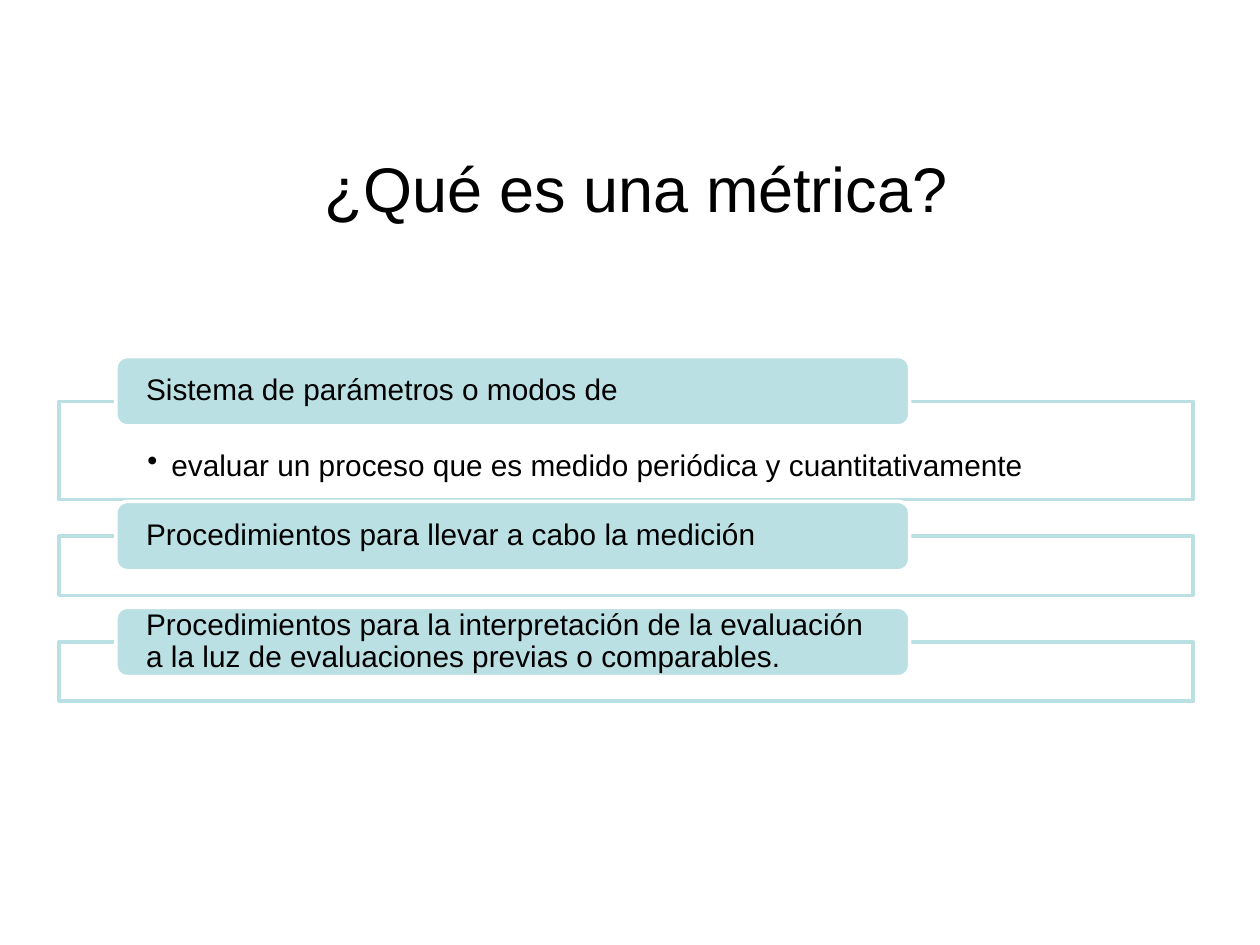
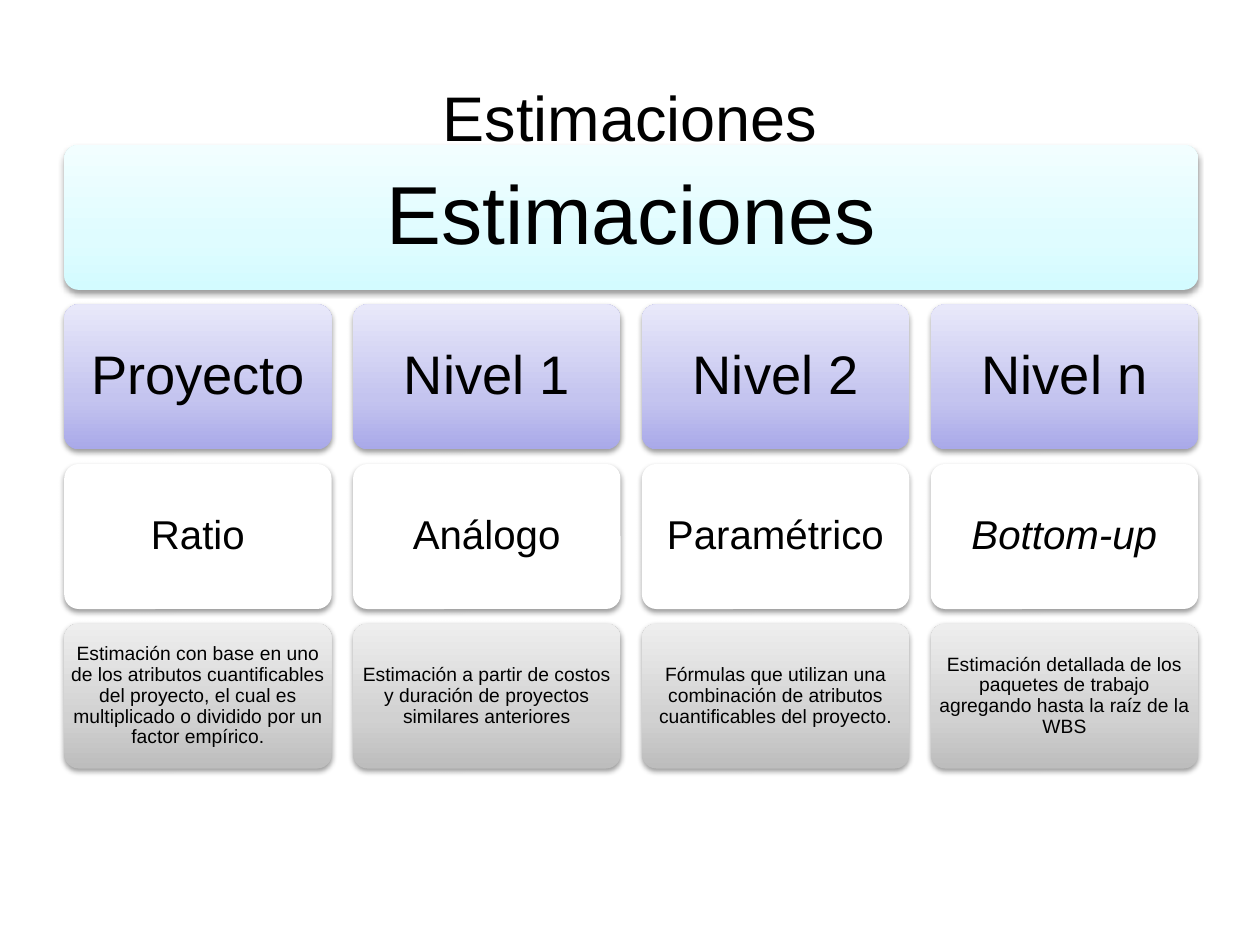
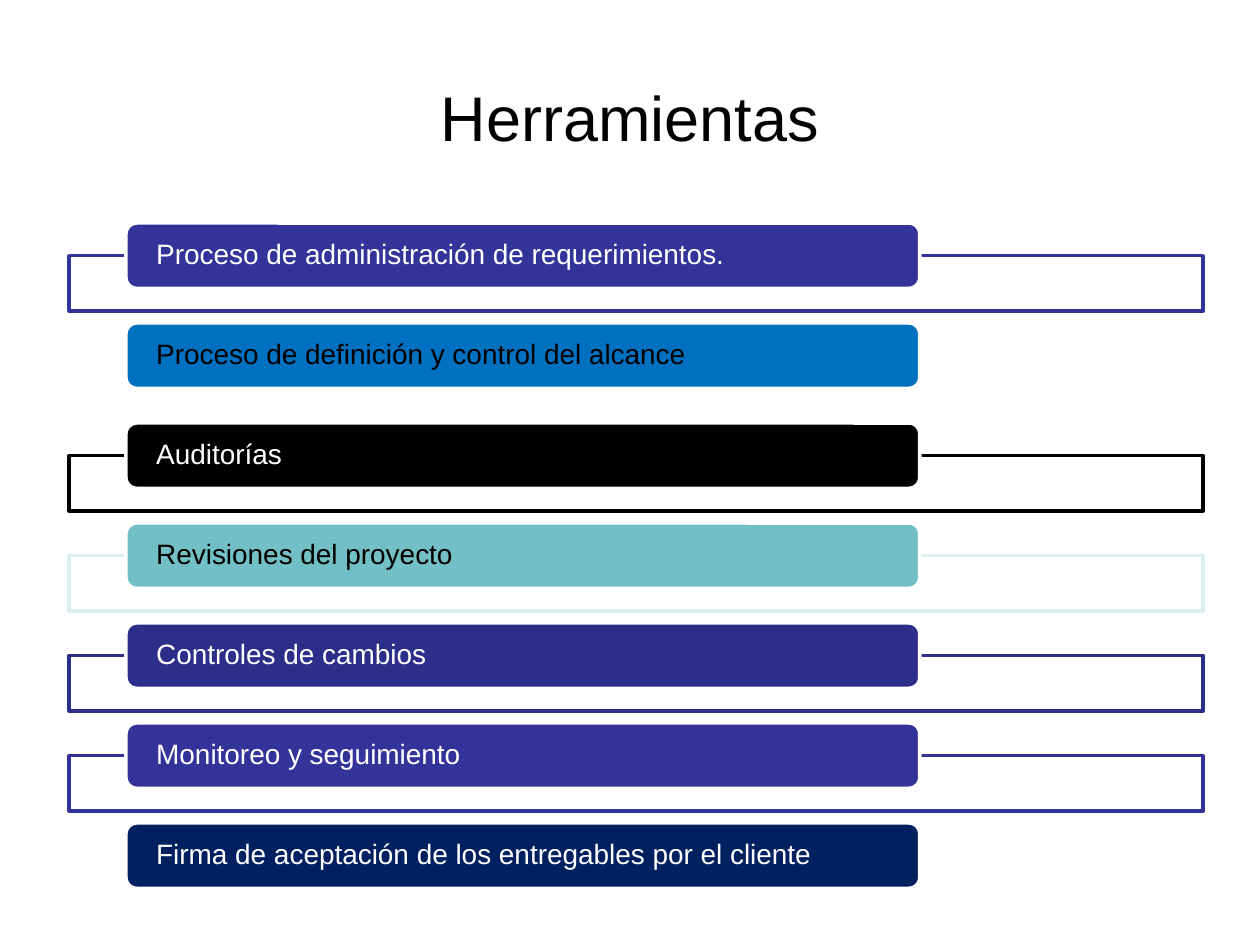
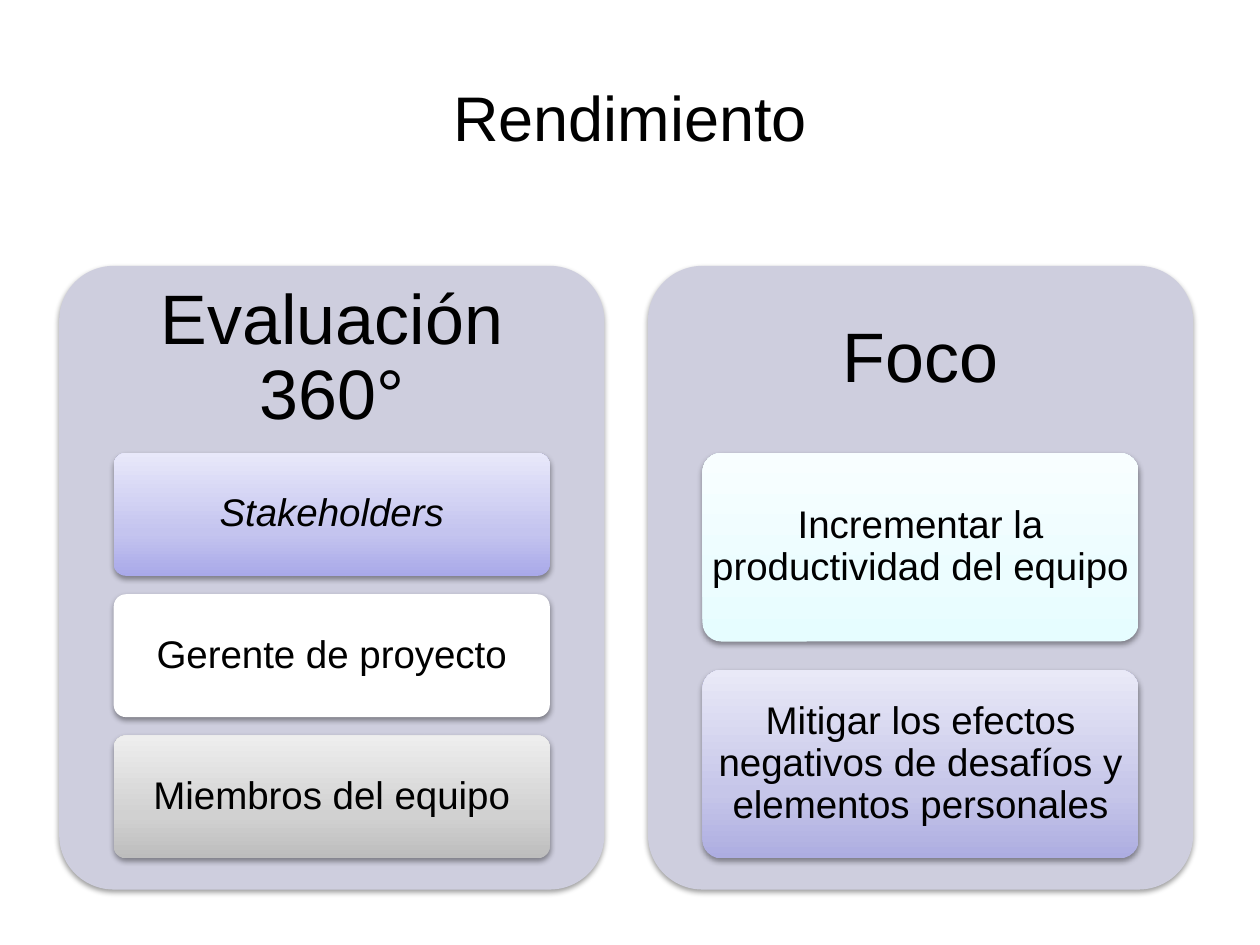
import copy
from dataclasses import dataclass

import pptx
import pptx.dml.color
import pptx.enum.shapes
import pptx.enum.text
import pptx.oxml.ns
import pptx.util
from lxml import etree

Inches = pptx.util.Inches
Pt = pptx.util.Pt
qn = pptx.oxml.ns.qn
Shapes = pptx.enum.shapes.MSO_SHAPE
Align = pptx.enum.text.PP_ALIGN
Anchor = pptx.enum.text.MSO_ANCHOR


@dataclass(frozen=True)
class Theme:
    font: str = "Arial"
    black: str = "000000"
    white: str = "FFFFFF"
    aqua: str = "BBE0E3"
    aqua_pale: str = "DAEDEF"
    aqua_deep: str = "72BFC5"
    indigo: str = "333399"
    indigo_deep: str = "2D2D8A"
    blue: str = "0070C0"
    navy: str = "002060"
    panel: str = "CECEDE"
    # Gradients run from the bottom edge to the top edge.
    cyan_gradient: tuple = ("D3FBFF", "DFFCFF", "F2FEFF")
    ice_gradient: tuple = ("E6FDFF", "ECFDFF", "F8FEFF")
    violet_gradient: tuple = ("A9A9E9", "C4C4EF", "E8E8FA")
    lilac_gradient: tuple = ("ADADE1", "C6C6E9", "E9E9F7")
    gray_gradient: tuple = ("BDBDBD", "D1D1D1", "EEEEEE")
    gradient_positions: tuple = (0, 0.35, 1)
    title_size: int = 36
    metric_size: int = 17
    tool_size: int = 16
    level_sizes: tuple = (47, 31, 23, 11)
    panel_size: int = 40
    card_size: int = 22
    line_spacing: float = 0.9


THEME = Theme()
SLIDE_WIDTH, SLIDE_HEIGHT = 10, 7.5
CONTENT_WIDTH = 0.9 * SLIDE_WIDTH
TAB_WIDTH = 0.7 * CONTENT_WIDTH
TAB_INDENT = 0.05 * CONTENT_WIDTH
CARD_CORNER = 0.1
TAB_CORNER = 0.1667
CORNER_TEXT_SHARE = 0.29  # part of a corner radius that a rounded box keeps free of text


@dataclass(frozen=True)
class Entry:
    """A tab with the outlined frame that hangs behind it."""
    text: str
    tab_color: str
    frame_color: str
    text_color: str = THEME.black
    detail: str = ""


def rgb(color):
    return pptx.dml.color.RGBColor.from_string(color)


def tracks(start, extent, count, gap_ratio):
    """Split an extent into equal tracks; return their starts and their size."""
    size = extent / (count + (count - 1) * gap_ratio)
    return [start + index * size * (1 + gap_ratio) for index in range(count)], size


def write_text(shape, text, size, color=THEME.black, align=Align.CENTER,
               anchor=Anchor.MIDDLE, insets=(0.1, 0.05, 0.1, 0.05),
               italic=False, spacing=THEME.line_spacing):
    frame = shape.text_frame
    frame.word_wrap = True
    frame.vertical_anchor = anchor
    (frame.margin_left, frame.margin_top,
     frame.margin_right, frame.margin_bottom) = [Inches(max(0, inset)) for inset in insets]
    paragraph = frame.paragraphs[0]
    paragraph.text = text
    paragraph.alignment = align
    paragraph.line_spacing = spacing
    font = paragraph.font
    font.name, font.size, font.italic = THEME.font, Pt(size), italic
    font.color.rgb = rgb(color)
    return paragraph


def add_title(slide, text, left=0.5, top=0.3):
    box = slide.shapes.add_textbox(Inches(left), Inches(top),
                                   Inches(CONTENT_WIDTH), Inches(SLIDE_HEIGHT / 6))
    write_text(box, text, THEME.title_size, spacing=1.0)


def add_box(slide, preset, left, top, width, height, fill, line=None, corner=None):
    shape = slide.shapes.add_shape(preset, Inches(left), Inches(top),
                                   Inches(width), Inches(height))
    if corner is not None:
        shape.adjustments[0] = corner
    if isinstance(fill, tuple):
        fill_gradient(shape, fill)
    else:
        shape.fill.solid()
        shape.fill.fore_color.rgb = rgb(fill)
    if line:
        shape.line.color.rgb = rgb(line)
        shape.line.width = Pt(2)
    else:
        shape.line.fill.background()
    shape.shadow.inherit = False
    return shape


def fill_gradient(shape, colors):
    shape.fill.gradient()
    shape.fill.gradient_angle = 90
    stop_list = shape._element.spPr.find(qn("a:gradFill")).find(qn("a:gsLst"))
    stop_list.append(copy.deepcopy(stop_list[0]))
    for stop, color, position in zip(shape.fill.gradient_stops, colors,
                                     THEME.gradient_positions):
        stop.color.rgb = rgb(color)
        stop.position = position


def set_alpha(color_element, percent):
    etree.SubElement(color_element, qn("a:alpha"), val=str(percent * 1000))


def add_shadow(shape):
    effects = shape._element.spPr.find(qn("a:effectLst"))
    shadow = etree.SubElement(effects, qn("a:outerShdw"), blurRad="40000",
                              dist="20000", dir="5400000", rotWithShape="0")
    set_alpha(etree.SubElement(shadow, qn("a:srgbClr"), val=THEME.black), 38)


def add_bullet(paragraph, indent):
    properties = paragraph._p.get_or_add_pPr()
    properties.set("marL", str(Inches(indent)))
    properties.set("indent", str(-Inches(indent)))
    bullet = etree.Element(qn("a:buChar"), char="•")
    properties.find(qn("a:lnSpc")).addnext(bullet)


def add_card(slide, left, top, width, height, fill, text, size,
             insets, italic=False, text_share=1):
    """Shadowed rounded card; text_share is the part of its height, from the top, for text."""
    card = add_box(slide, Shapes.ROUNDED_RECTANGLE, left, top, width, height,
                   fill, corner=CARD_CORNER)
    add_shadow(card)
    corner = CORNER_TEXT_SHARE * CARD_CORNER * min(width, height)
    across, down = insets[0] - corner, insets[1] - corner
    write_text(card, text, size, italic=italic,
               insets=(across, down, across, down + height * (1 - text_share)))


def add_entry(slide, entry, left, top, tab_height, frame_height, size):
    frame = add_box(slide, Shapes.RECTANGLE, left, top + tab_height / 2 + 0.08 * (entry.detail != ""),
                    CONTENT_WIDTH, frame_height, THEME.white, entry.frame_color)
    set_alpha(frame._element.spPr.find(qn("a:solidFill"))[0], 90)
    if entry.detail:
        paragraph = write_text(frame, entry.detail, size, align=Align.LEFT,
                               anchor=Anchor.TOP, insets=(0.7, 0.39, 0.7, 0.13))
        add_bullet(paragraph, 0.19)
    tab = add_box(slide, Shapes.ROUNDED_RECTANGLE, left + TAB_INDENT, top, TAB_WIDTH,
                  tab_height, entry.tab_color, THEME.white, TAB_CORNER)
    inset = 0.24 - CORNER_TEXT_SHARE * TAB_CORNER * tab_height
    write_text(tab, entry.text, size, entry.text_color, Align.LEFT,
               insets=(inset, 0, inset, 0))


def build_metric(slide):
    add_title(slide, "¿Qué es una métrica?", 0.55, 0.86)
    rows = [
        (2.83, 0.78, "Sistema de parámetros o modos de",
         "evaluar un proceso que es medido periódica y cuantitativamente"),
        (3.98, 0.47, "Procedimientos para llevar a cabo la medición", ""),
        (4.82, 0.47, "Procedimientos para la interpretación de la evaluación "
                     "a la luz de evaluaciones previas o comparables.", ""),
    ]
    for top, frame_height, text, detail in rows:
        entry = Entry(text, THEME.aqua, THEME.aqua, detail=detail)
        add_entry(slide, entry, 0.47, top, 0.55, frame_height, THEME.metric_size)


def build_estimates(slide):
    add_title(slide, "Estimaciones")
    left = 0.51
    tops, height = tracks(1.15, 0.66 * SLIDE_HEIGHT, 4, 0.1)
    levels = [
        ("Proyecto", "Ratio",
         "Estimación con base en uno de los atributos cuantificables del proyecto, "
         "el cual es multiplicado o dividido por un factor empírico."),
        ("Nivel 1", "Análogo",
         "Estimación a partir de costos y duración de proyectos similares anteriores"),
        ("Nivel 2", "Paramétrico",
         "Fórmulas que utilizan una combinación de atributos cuantificables del proyecto."),
        ("Nivel n", "Bottom-up",
         "Estimación detallada de los paquetes de trabajo agregando hasta la raíz de la WBS"),
    ]
    header_size, *sizes = THEME.level_sizes
    add_card(slide, left, tops[0], CONTENT_WIDTH, height, THEME.cyan_gradient,
             "Estimaciones", header_size, (0.2, 0.2))
    fills = (THEME.violet_gradient, THEME.white, THEME.gray_gradient)
    insets = (0.13, 0.1, 0.05)
    column_lefts, width = tracks(left, CONTENT_WIDTH, len(levels), 0.08)
    for column_left, texts in zip(column_lefts, levels):
        for top, text, fill, size, inset in zip(tops[1:], texts, fills, sizes, insets):
            add_card(slide, column_left, top, width, height, fill, text, size,
                     (inset, inset), italic=text == "Bottom-up")


def build_tools(slide):
    add_title(slide, "Herramientas")
    entries = [
        Entry("Proceso de administración de requerimientos.",
              THEME.indigo, THEME.indigo, THEME.white),
        Entry("Proceso de definición y control del alcance", THEME.blue, THEME.white),
        Entry("Auditorías", THEME.black, THEME.black, THEME.white),
        Entry("Revisiones del proyecto", THEME.aqua_deep, THEME.aqua_pale),
        Entry("Controles de cambios", THEME.indigo_deep, THEME.indigo_deep, THEME.white),
        Entry("Monitoreo y seguimiento", THEME.indigo, THEME.indigo, THEME.white),
        Entry("Firma de aceptación de los entregables por el cliente",
              THEME.navy, THEME.white, THEME.white),
    ]
    tops, tab_height = tracks(1.77, 5.28, len(entries), 0.53)
    for top, entry in zip(tops, entries):
        add_entry(slide, entry, 0.55, top, tab_height, 0.44, THEME.tool_size)


def build_performance(slide):
    add_title(slide, "Rendimiento")
    panel_top, panel_height = 2.11, 0.66 * SLIDE_HEIGHT
    panels = [
        ("Evaluación 360°", [
            ("Stakeholders", THEME.violet_gradient),
            ("Gerente de proyecto", THEME.white),
            ("Miembros del equipo", THEME.gray_gradient)]),
        ("Foco", [
            ("Incrementar la productividad del equipo", THEME.ice_gradient),
            ("Mitigar los efectos negativos de desafíos y elementos personales",
             THEME.lilac_gradient)]),
    ]
    lefts, panel_width = tracks(0.47, CONTENT_WIDTH, len(panels), 0.08)
    for left, (heading, cards) in zip(lefts, panels):
        add_card(slide, left, panel_top, panel_width, panel_height, THEME.panel,
                 heading, THEME.panel_size, (0.17, 0.17), text_share=0.3)
        tops, height = tracks(panel_top + 0.3 * panel_height, 0.65 * panel_height,
                              len(cards), 0.15)
        for top, (text, fill) in zip(tops, cards):
            add_card(slide, left + 0.1 * panel_width, top, 0.8 * panel_width, height,
                     fill, text, THEME.card_size, (0.06, 0.05),
                     italic=text == "Stakeholders")


def main():
    presentation = pptx.Presentation()
    presentation.slide_width = Inches(SLIDE_WIDTH)
    presentation.slide_height = Inches(SLIDE_HEIGHT)
    blank_layout = presentation.slide_layouts[6]
    for build in (build_metric, build_estimates, build_tools, build_performance):
        build(presentation.slides.add_slide(blank_layout))
    presentation.save("out.pptx")


if __name__ == "__main__":
    main()
